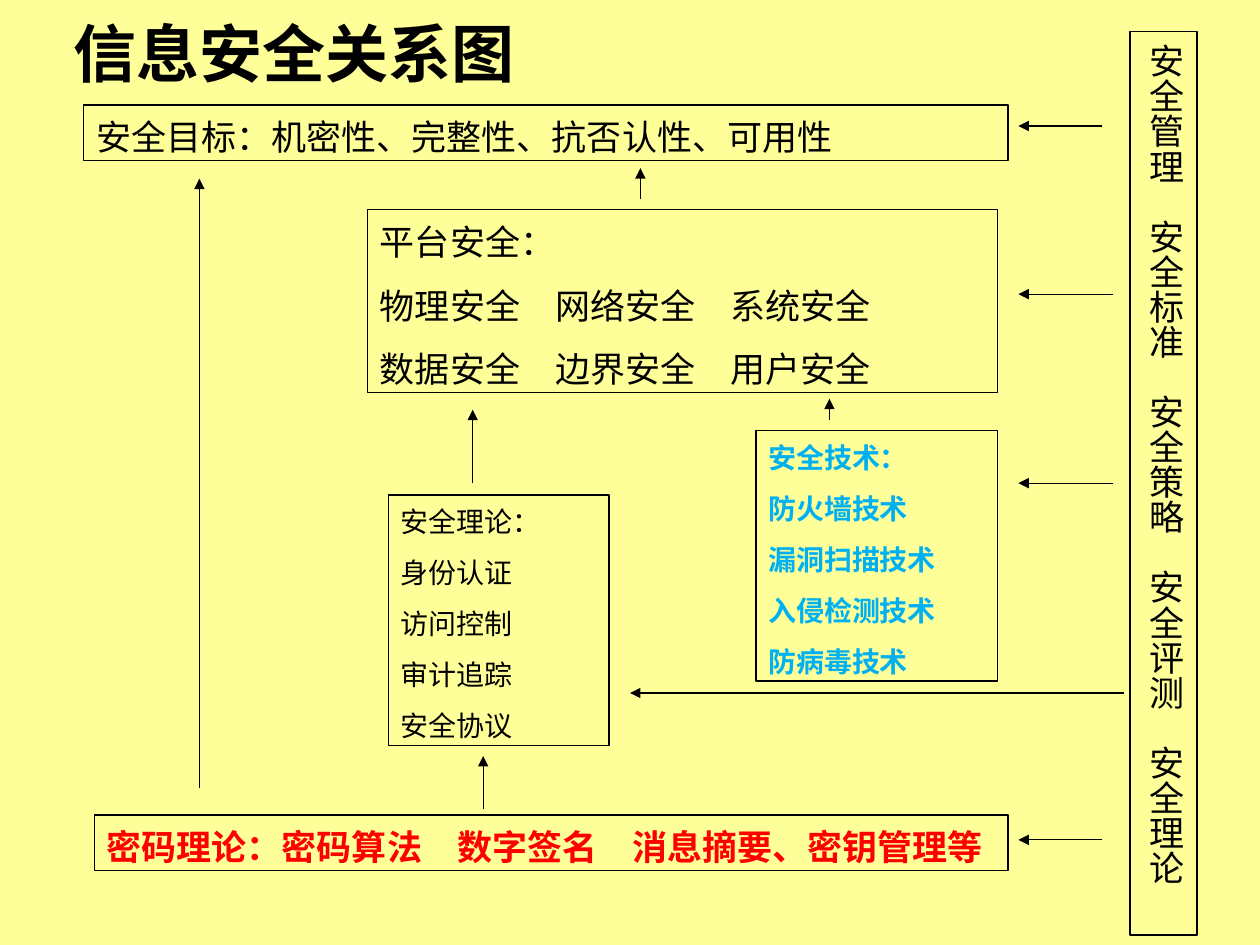
from lxml.etree import SubElement
from pptx import Presentation
from pptx.dml.color import RGBColor
from pptx.enum.shapes import MSO_CONNECTOR, MSO_SHAPE
from pptx.enum.text import MSO_ANCHOR, MSO_AUTO_SIZE, PP_ALIGN
from pptx.oxml.ns import qn
from pptx.util import Cm, Pt

THEME = {
    "paper": "FFFF99", "ink": "000000", "blue": "00B0F0", "red": "FF0000",
    "latin": "Times New Roman", "cjk": "Noto Sans CJK SC",
    "title": 36, "large": 20, "small": 16, "line": 0.75,
}

TITLE = ("信息安全关系图", (0.74, 0.18, 10.36, 1.73))

BOXES = [
    ((1.69, 2.12, 18.63, 1.12), "large", "ink", False, False,
     ["安全目标：机密性、完整性、抗否认性、可用性"]),
    ((7.41, 4.23, 12.7, 3.69), "large", "ink", False, False,
     ["平台安全：", "物理安全　网络安全　系统安全", "数据安全　边界安全　用户安全"]),
    ((7.83, 9.98, 4.45, 5.05), "small", "ink", False, False,
     ["安全理论：", "身份认证", "访问控制", "审计追踪", "安全协议"]),
    ((15.24, 8.68, 4.87, 5.05), "small", "blue", True, False,
     ["安全技术：", "防火墙技术", "漏洞扫描技术", "入侵检测技术", "防病毒技术"]),
    ((1.9, 16.43, 18.42, 1.12), "large", "red", True, False,
     ["密码理论：密码算法　数字签名　消息摘要、密钥管理等"]),
    ((22.78, 0.64, 1.35, 18.21), "large", "ink", False, True,
     ["安全管理　安全标准　安全策略　安全评测　安全理论"]),
]

LEFTWARD = [
    (2.54, 22.22, 20.53), (5.93, 22.44, 20.53), (9.74, 22.44, 20.53),
    (13.97, 22.65, 12.7), (16.93, 22.22, 20.53),
]
UPWARD = [
    (4.02, 15.88, 3.6), (12.91, 4.02, 3.39), (9.53, 9.74, 8.26),
    (16.72, 8.47, 8.04), (9.74, 16.3, 15.24),
]


def color(name):
    return RGBColor.from_string(THEME[name])


def style(par, font, size, tint, bold):
    for run in par.runs:
        run.font.size = Pt(size)
        run.font.bold = bold
        run.font.color.rgb = color(tint)
        run.font.name = THEME[font]
        SubElement(run.font._element, qn("a:ea"), typeface=THEME["cjk"])


def add_box(slide, place, level, tint, bold, upright, lines):
    size = THEME[level]
    box = slide.shapes.add_shape(MSO_SHAPE.RECTANGLE, *map(Cm, place))
    box.shadow.inherit = False
    box.fill.background()
    box.line.color.rgb = color("ink")
    box.line.width = Pt(THEME["line"])
    frame = box.text_frame
    frame.word_wrap = True
    frame.auto_size = MSO_AUTO_SIZE.NONE
    frame.vertical_anchor = MSO_ANCHOR.TOP
    shift = Pt(0.11 * size)
    if upright:
        frame._txBody.bodyPr.set("vert", "eaVert")
        frame.margin_left, frame.margin_right = 0, Cm(0.13) + shift
        frame.margin_top = frame.margin_bottom = Cm(0.25)
    else:
        frame.margin_left = frame.margin_right = Cm(0.25)
        frame.margin_top, frame.margin_bottom = Cm(0.13) + shift, 0
    frame.text = "\n".join(lines)
    for par in frame.paragraphs:
        par.alignment = PP_ALIGN.CENTER if upright else PP_ALIGN.LEFT
        par.space_before = Pt(size * 0.625)
        par.line_spacing = Pt(size * 1.2)
        style(par, "cjk", size, tint, bold)


def add_arrow(slide, *ends):
    line = slide.shapes.add_connector(MSO_CONNECTOR.STRAIGHT, *map(Cm, ends))
    line.line.color.rgb = color("ink")
    line.line.width = Pt(THEME["line"])
    SubElement(line.line._get_or_add_ln(), qn("a:tailEnd"), type="triangle")
    SubElement(line._element.spPr, qn("a:effectLst"))


def add_title(slide, text, place):
    title = slide.shapes.title
    title.left, title.top, title.width, title.height = map(Cm, place)
    frame = title.text_frame
    frame.text = text
    frame.word_wrap = True
    frame.auto_size = MSO_AUTO_SIZE.NONE
    frame.vertical_anchor = MSO_ANCHOR.MIDDLE
    frame.paragraphs[0].alignment = PP_ALIGN.CENTER
    style(frame.paragraphs[0], "latin", THEME["title"], "ink", True)


def main():
    deck = Presentation()
    deck.slide_width, deck.slide_height = Cm(25.4), Cm(19.05)
    slide = deck.slides.add_slide(deck.slide_layouts[5])
    slide.background.fill.solid()
    slide.background.fill.fore_color.rgb = color("paper")
    add_title(slide, *TITLE)
    for box in BOXES:
        add_box(slide, *box)
    for y, start, end in LEFTWARD:
        add_arrow(slide, start, y, end, y)
    for x, start, end in UPWARD:
        add_arrow(slide, x, start, x, end)
    deck.save("out.pptx")


if __name__ == "__main__":
    main()
